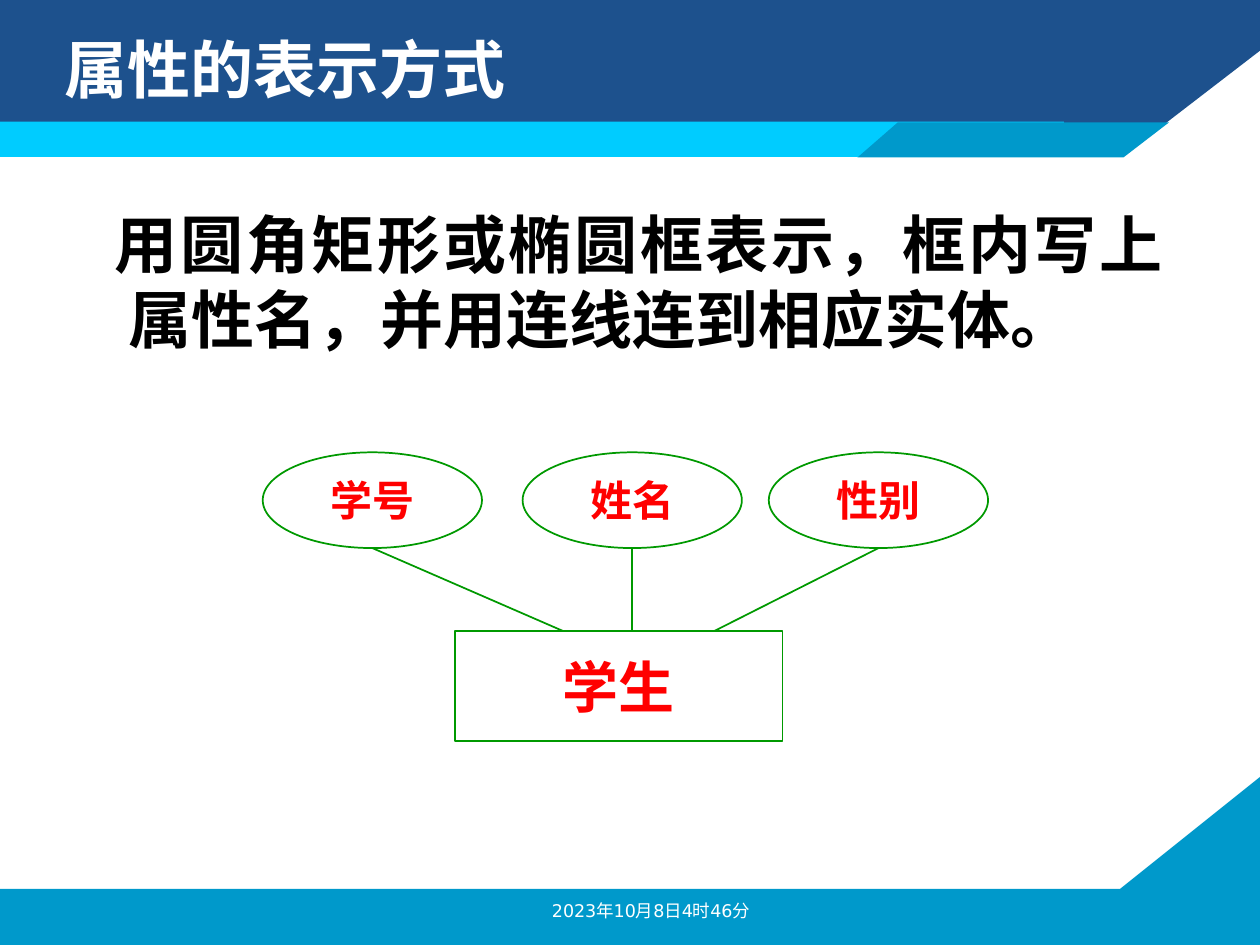
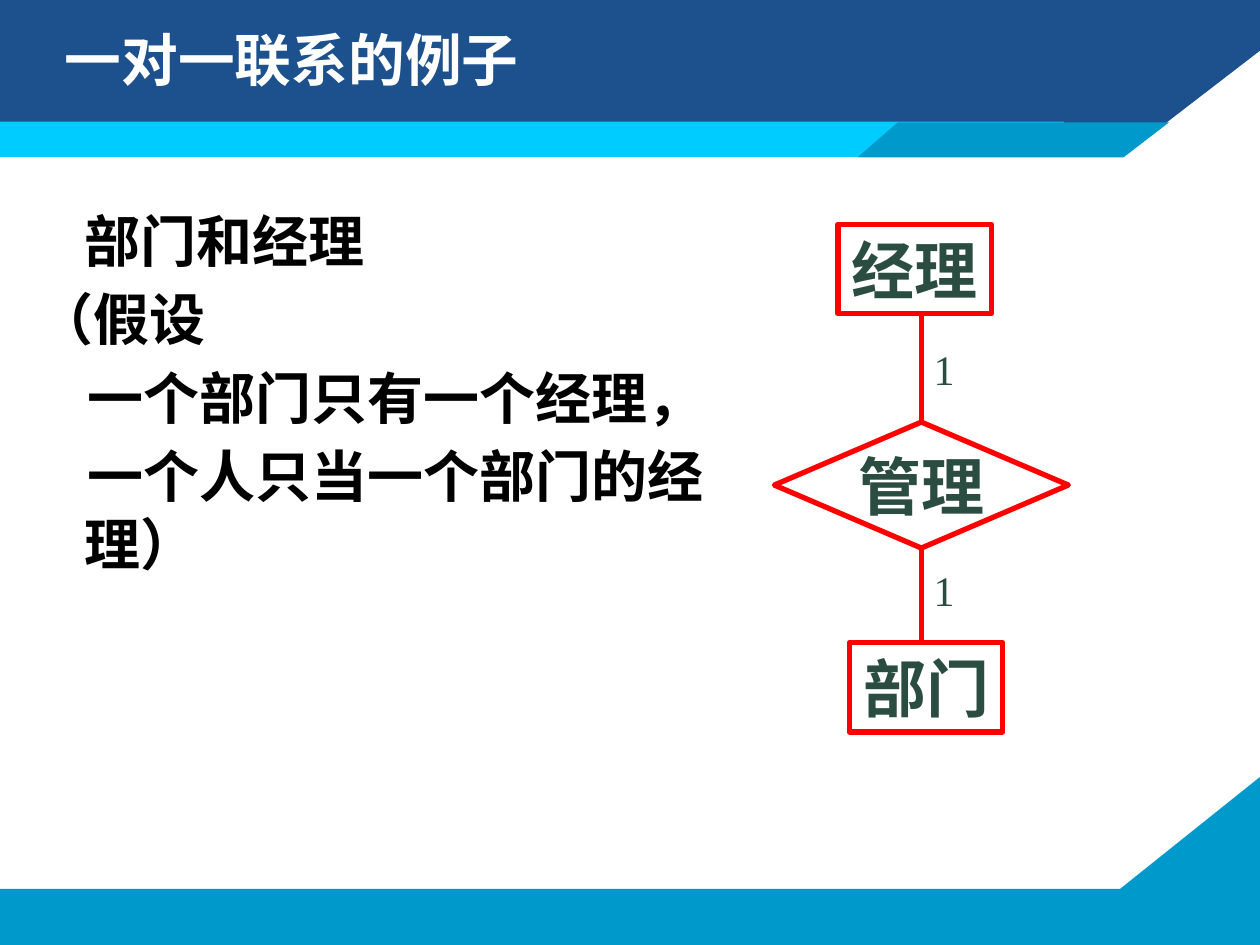
import pptx
import pptx.util
import pptx.dml.color
import pptx.enum.shapes
import pptx.enum.text
import pptx.oxml.ns
from lxml import etree

Pt = pptx.util.Pt
KIND = pptx.enum.shapes.MSO_SHAPE
ALIGN = pptx.enum.text.PP_ALIGN
ANCHOR = pptx.enum.text.MSO_ANCHOR
HUES = {
    "navy": "1D518D", "cyan": "00CCFF", "blue": "0099CB", "white": "FFFFFF",
    "black": "000000", "green": "009900", "red": "FF0000", "moss": "2A4C41",
}
SERIF, SANS, SMALL = "Times New Roman", "Noto Sans CJK SC", "DejaVu Sans"


def hue(name):
    return pptx.dml.color.RGBColor.from_string(HUES[name])


def write(frame, *lines, size=32, font=SERIF, color="black", bold=True,
          align=ALIGN.LEFT, anchor=ANCHOR.TOP, wrap=True, left=0, first=None,
          pitch=None, gap=0):
    frame.word_wrap = wrap
    frame.vertical_anchor = anchor
    for i, line in enumerate(lines):
        para = frame.paragraphs[0] if i == 0 else frame.add_paragraph()
        para.alignment = align
        if pitch:
            para.line_spacing = Pt(pitch)
        if i and gap:
            para.space_before = Pt(gap)
        if first:
            props = para._p.get_or_add_pPr()
            props.set("marL", str(Pt(left)))
            props.set("indent", str(Pt(first[i])))
        run = para.add_run()
        run.text = line
        run.font.name, run.font.size, run.font.bold = font, Pt(size), bold
        run.font.color.rgb = hue(color)
        east = etree.SubElement(run._r.get_or_add_rPr(), pptx.oxml.ns.qn("a:ea"))
        east.set("typeface", SANS)


def label(slide, box, *lines, **style):
    area = slide.shapes.add_textbox(*map(Pt, box))
    write(area.text_frame, *lines, **style)


def paint(shape, fill):
    shape.shadow.inherit = False
    shape.fill.solid()
    shape.fill.fore_color.rgb = hue(fill)
    shape.line.fill.background()


def patch(slide, fill, start, *rest):
    pen = slide.shapes.build_freeform(*start, scale=Pt(1))
    pen.add_line_segments(rest, close=True)
    paint(pen.convert_to_shape(), fill)


def node(slide, kind, box, text, line, width, **style):
    shape = slide.shapes.add_shape(kind, *map(Pt, box))
    shape.shadow.inherit = False
    shape.fill.background()
    shape.line.color.rgb = hue(line)
    shape.line.width = Pt(width)
    write(shape.text_frame, text, align=ALIGN.CENTER, anchor=ANCHOR.MIDDLE,
          wrap=False, **style)
    return shape


def link(slide, start, end, color, width):
    line = slide.shapes.add_connector(
        pptx.enum.shapes.MSO_CONNECTOR.STRAIGHT, *map(Pt, start + end))
    line.line.color.rgb = hue(color)
    line.line.width = Pt(width)
    etree.SubElement(line._element.spPr, pptx.oxml.ns.qn("a:effectLst"))
    return line


def page(deck, title, box, size):
    slide = deck.slides.add_slide(deck.slide_layouts[6])
    patch(slide, "blue", (0, 508), (640, 508), (720, 444), (720, 540), (0, 540))
    patch(slide, "navy", (0, 0), (720, 0), (720, 29), (642, 89), (0, 89))
    band = slide.shapes.add_shape(KIND.RECTANGLE, 0, Pt(69.5), Pt(608), Pt(20.2))
    paint(band, "cyan")
    patch(slide, "blue", (490, 90), (642, 90), (667.5, 69.5), (513, 69.5))
    label(slide, box, title, size=size, color="white", anchor=ANCHOR.MIDDLE)
    return slide


def traits(deck):
    slide = page(deck, "属性的表示方式", (30, 12, 534, 54), 36)
    label(slide, (39.6, 114, 632, 114),
          "用圆角矩形或椭圆框表示，框内写上属性名，并用连线连到相应实体。",
          size=36, align=ALIGN.JUSTIFY, left=27, first=[-8], pitch=43)
    top, wide, high, base = 258.5, 125.3, 54.7, 360.7
    node(slide, KIND.RECTANGLE, (260, base, 187.2, 62.6), "学生", "green", 1,
         font=SANS, color="red")
    for text, mid, foot in (("学号", 212.8, 322), ("姓名", 361.3, 361.3),
                            ("性别", 502, 408)):
        node(slide, KIND.OVAL, (mid - wide / 2, top, wide, high), text,
             "green", 1, size=24, font=SANS, color="red")
        link(slide, (mid, top + high), (foot, base), "green", 1)
    label(slide, (300, 510.5, 144, 19.5), "2023年10月8日4时46分", size=10,
          font=SMALL, color="white", bold=False, align=ALIGN.CENTER)


def pairs(deck):
    slide = page(deck, "一对一联系的例子", (30, 12, 429, 43), 32.4)
    label(slide, (14.4, 114, 414, 357), "部门和经理", "（假设",
          "一个部门只有一个经理，", "一个人只当一个部门的经理）",
          font=SANS, left=27, first=[0, -27, 1.5, 1.5], pitch=39, gap=5.7)
    mid = 526.5
    look = {"size": 36, "color": "moss"}
    hub = node(slide, KIND.FLOWCHART_DECISION, (mid - 84, 241.2, 168, 72),
               "管理", "red", 3, **look)
    for text, left, top, side, end, mark in (
            ("经理", 478.8, 128.2, 0, 180, 193), ("部门", 485.3, 367.2, 2, 367.2, 319)):
        node(slide, KIND.RECTANGLE, (left, top, 87.8, 51.1), text, "red", 3, **look)
        line = link(slide, (mid, 277), (mid, end), "red", 3)
        line.begin_connect(hub, side)
        label(slide, (mid, mark, 26.6, 36), "1", size=24, color="moss", bold=False)


def main():
    deck = pptx.Presentation()
    deck.slide_width, deck.slide_height = Pt(720), Pt(540)
    traits(deck)
    pairs(deck)
    deck.save("out.pptx")


if __name__ == "__main__":
    main()
